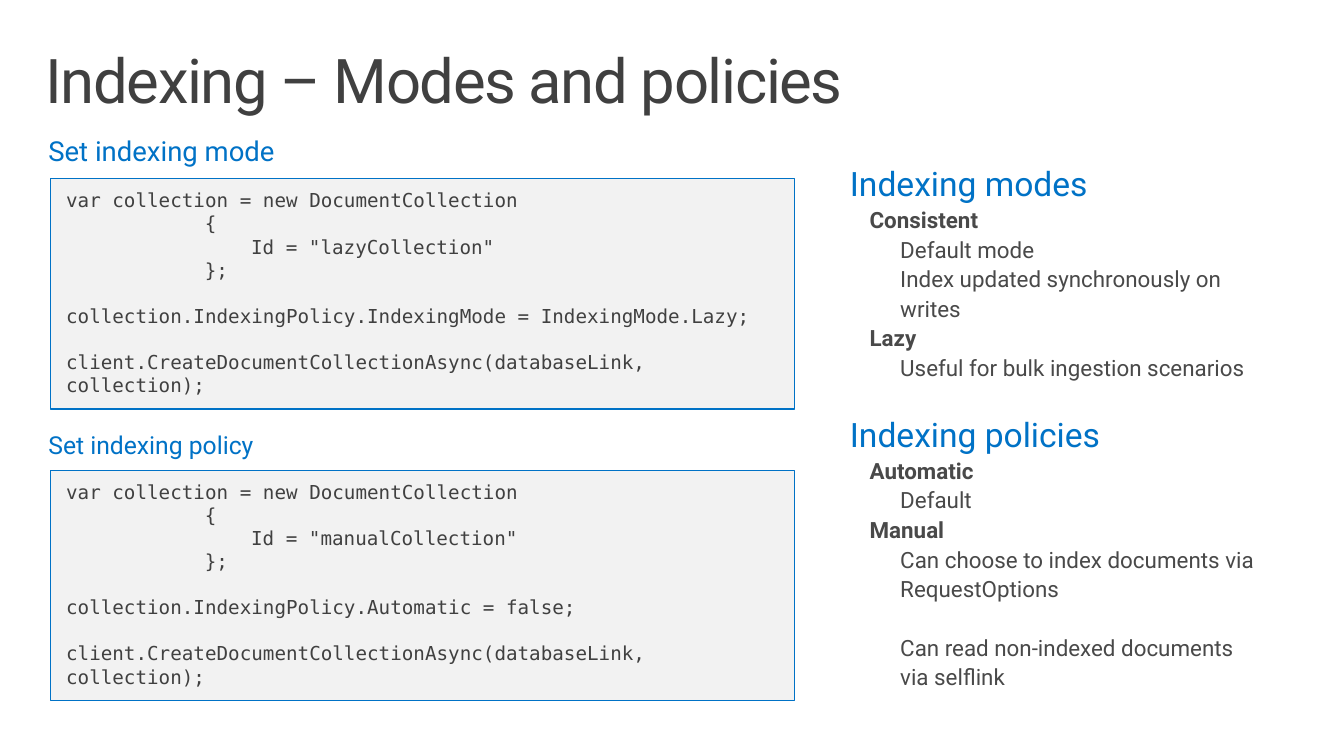
from dataclasses import dataclass
from typing import NamedTuple

from pptx import Presentation
from pptx import util as u
from pptx.dml import color
from pptx.enum import shapes, text


@dataclass(frozen=True)
class Theme:
    sans: str = "Roboto"
    mono: str = "DejaVu Sans Mono"
    accent: color.RGBColor = color.RGBColor(0x00, 0x72, 0xC6)
    ink: color.RGBColor = color.RGBColor(0x40, 0x40, 0x40)
    body: color.RGBColor = color.RGBColor(0x49, 0x49, 0x49)
    panel: color.RGBColor = color.RGBColor(0xF2, 0xF2, 0xF2)
    title_size: float = 44.9
    heading_size: float = 24.5
    body_size: float = 16.3
    code_size: float = 14
    code_pitch: float = 16.8
    code_column: float = 0.117
    blank_line: float = 21.4


THEME = Theme()


class Style(NamedTuple):
    font: str
    size: float
    ink: color.RGBColor
    bold: bool = False
    spacing: float | u.Length = 1.0
    indent: float = 0


class Line(NamedTuple):
    text: str
    style: Style
    gap: float = 0


class CodeLine(NamedTuple):
    text: str
    column: int = 0
    gap: float = 0


class Example(NamedTuple):
    caption: str
    caption_size: float
    caption_top: float
    code_top: float
    collection_id: str
    setting: str


TITLE = Style(THEME.sans, THEME.title_size, THEME.ink, spacing=0.9)
HEADING = Style(THEME.sans, THEME.heading_size, THEME.accent, spacing=1.1)
TOPIC = Style(THEME.sans, THEME.body_size, THEME.body, True, 1.1, 0.2)
DETAIL = Style(THEME.sans, THEME.body_size, THEME.body, False, 1.1, 0.51)

EXAMPLES = [
    Example("Set indexing mode", 20, 1.23, 1.81, "lazyCollection",
            "collection.IndexingPolicy.IndexingMode = IndexingMode.Lazy;"),
    Example("Set indexing policy", 18, 4.22, 4.76, "manualCollection",
            "collection.IndexingPolicy.Automatic = false;"),
]

SUMMARY = [
    Line("Indexing modes", HEADING),
    Line("Consistent", TOPIC),
    Line("Default mode", DETAIL),
    Line("Index updated synchronously on writes", DETAIL),
    Line("Lazy", TOPIC),
    Line("Useful for bulk ingestion scenarios", DETAIL),
    Line("Indexing policies", HEADING, THEME.blank_line),
    Line("Automatic", TOPIC),
    Line("Default", DETAIL),
    Line("Manual", TOPIC),
    Line("Can choose to index documents via RequestOptions", DETAIL),
    Line("Can read non-indexed documents\vvia selflink", DETAIL, THEME.blank_line),
]


def write(frame, lines: list[Line], side: float = 0.16, top: float = 0.1) -> None:
    frame.word_wrap = True
    frame.auto_size = text.MSO_AUTO_SIZE.NONE
    frame.vertical_anchor = text.MSO_ANCHOR.TOP
    frame.margin_left = frame.margin_right = u.Inches(side)
    frame.margin_top = frame.margin_bottom = u.Inches(top)
    frame.text = "\n".join(line.text for line in lines)
    for paragraph, line in zip(frame.paragraphs, lines):
        style = line.style
        paragraph.alignment = text.PP_ALIGN.LEFT
        paragraph.line_spacing = style.spacing
        paragraph.space_before = u.Pt(line.gap)
        properties = paragraph._p.get_or_add_pPr()
        properties.set("marL", str(u.Inches(style.indent)))
        properties.set("indent", "0")
        for run in paragraph.runs:
            run.font.name = style.font
            run.font.size = u.Pt(style.size)
            run.font.bold = style.bold
            run.font.color.rgb = style.ink


def code_lines(example: Example) -> list[Line]:
    source = [
        CodeLine("var collection = new DocumentCollection"),
        CodeLine("{", 12),
        CodeLine(f'Id = "{example.collection_id}"', 16),
        CodeLine("};", 12),
        CodeLine(example.setting, gap=THEME.code_pitch),
        CodeLine("client.CreateDocumentCollectionAsync(databaseLink, collection);",
                 gap=THEME.code_pitch),
    ]
    return [
        Line(code.text,
             Style(THEME.mono, THEME.code_size, THEME.ink,
                   spacing=u.Pt(THEME.code_pitch),
                   indent=code.column * THEME.code_column),
             code.gap)
        for code in source
    ]


def add_example(slide, example: Example) -> None:
    caption = slide.shapes.add_textbox(
        u.Inches(0.29), u.Inches(example.caption_top), u.Inches(6.86), u.Inches(0.6))
    caption_style = Style(THEME.sans, example.caption_size, THEME.accent, spacing=0.9)
    write(caption.text_frame, [Line(example.caption, caption_style)], 0.2, 0.16)

    code = slide.shapes.add_shape(
        shapes.MSO_SHAPE.RECTANGLE,
        u.Inches(0.51), u.Inches(example.code_top), u.Inches(7.53), u.Inches(2.33))
    code.shadow.inherit = False
    code.fill.solid()
    code.fill.fore_color.rgb = THEME.panel
    code.line.color.rgb = THEME.accent
    code.line.width = u.Pt(1)
    write(code.text_frame, code_lines(example))


def main() -> None:
    deck = Presentation()
    deck.slide_width, deck.slide_height = u.Inches(13.6), u.Inches(7.65)
    slide = deck.slides.add_slide(deck.slide_layouts.get_by_name("Title Only"))

    title = slide.shapes.title
    title.left, title.top = u.Inches(0.3), u.Inches(0.41)
    title.width, title.height = u.Inches(13), u.Inches(1)
    write(title.text_frame, [Line("Indexing – Modes and policies", TITLE)])
    title.text_frame.paragraphs[0].runs[0]._r.get_or_add_rPr().set("spc", "-100")

    for example in EXAMPLES:
        add_example(slide, example)

    summary = slide.shapes.add_textbox(
        u.Inches(8.44), u.Inches(1.51), u.Inches(4.53), u.Inches(5.79))
    write(summary.text_frame, SUMMARY)

    deck.save("out.pptx")


if __name__ == "__main__":
    main()
